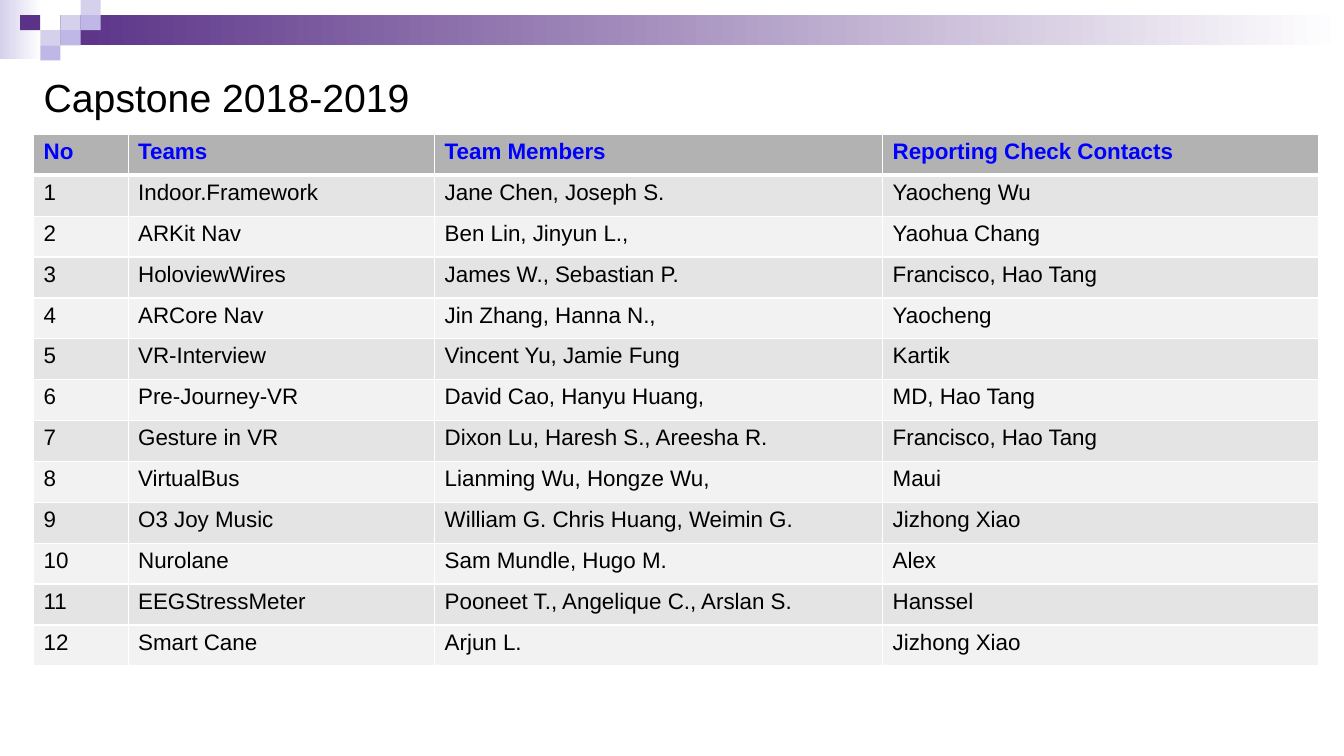
"""Build the Capstone 2018-2019 team table slide."""
from dataclasses import dataclass

from lxml.etree import SubElement
from pptx import Presentation
from pptx.dml.color import RGBColor as RGB
from pptx.enum.shapes import MSO_SHAPE as SHAPE
from pptx.enum.text import MSO_ANCHOR as ANCHOR, MSO_AUTO_SIZE as AUTOSIZE, PP_ALIGN as ALIGN
from pptx.oxml.ns import qn
from pptx.util import Pt


@dataclass(frozen=True)
class Theme:
    font: str = "Arial"
    title_size: int = 28
    table_size: int = 16
    text: str = "000000"
    white: str = "FFFFFF"
    purple: str = "5A3287"
    lilac: str = "BFB8E6"
    pale: str = "D5D0EC"
    header_text: str = "0000FF"
    header: str = "B2B2B2"
    odd_row: str = "E4E4E4"
    even_row: str = "F2F2F2"


T = Theme()


def add_block(s, left, top, width, height, color, fade=False):
    sp = s.shapes.add_shape(SHAPE.RECTANGLE, Pt(left), Pt(top), Pt(width), Pt(height))
    sp.shadow.inherit = False
    sp.line.fill.background()
    if fade:
        sp.fill.gradient()
        sp.fill.gradient_angle = 0
        for stop, stop_color in zip(sp.fill.gradient_stops, (color, T.white)):
            stop.color.rgb = RGB.from_string(stop_color)
    else:
        sp.fill.solid()
        sp.fill.fore_color.rgb = RGB.from_string(color)


def add_run(p, text, size, color, bold=False):
    r = p.add_run()
    r.text = text
    r.font.name = T.font
    r.font.size = Pt(size)
    r.font.bold = bold
    r.font.color.rgb = RGB.from_string(color)


prs = Presentation()
prs.slide_width, prs.slide_height = Pt(960), Pt(540)
s = prs.slides.add_slide(prs.slide_layouts[5])

add_block(s, 0, 0, 30, 42, T.pale, fade=True)
add_block(s, 43.2, 10.8, 916.8, 21.6, T.purple, fade=True)
TILE_W, TILE_H = 14.4, 10.8
tiles = [
    (3, 1, T.pale), (4, 0, T.pale), (4, 1, T.lilac), (2, 2, T.pale),
    (1, 1, T.purple), (3, 2, T.lilac), (2, 3, T.lilac),
]
for col, row, color in tiles:
    add_block(s, col * TILE_W, row * TILE_H, TILE_W, TILE_H, color)

title = s.shapes.title
title.left, title.top, title.width, title.height = Pt(24), Pt(36), Pt(912), Pt(66)
tf = title.text_frame
tf.auto_size = AUTOSIZE.NONE
tf.vertical_anchor = ANCHOR.MIDDLE
p = tf.paragraphs[0]
p.alignment = ALIGN.LEFT
add_run(p, "Capstone 2018-2019", T.title_size, T.text)

header = ("No", "Teams", "Team Members", "Reporting Check Contacts")
teams = [
    ("Indoor.Framework", "Jane Chen, Joseph S.", "Yaocheng Wu"),
    ("ARKit Nav", "Ben Lin, Jinyun L.,", "Yaohua Chang"),
    ("HoloviewWires", "James W., Sebastian P.", "Francisco, Hao Tang"),
    ("ARCore Nav", "Jin Zhang, Hanna N.,", "Yaocheng"),
    ("VR-Interview", "Vincent Yu, Jamie Fung", "Kartik"),
    ("Pre-Journey-VR", "David Cao, Hanyu Huang,", "MD, Hao Tang"),
    ("Gesture in VR", "Dixon Lu, Haresh S., Areesha R.", "Francisco, Hao Tang"),
    ("VirtualBus", "Lianming Wu, Hongze Wu,", "Maui"),
    ("O3 Joy Music", "William G. Chris Huang, Weimin G.", "Jizhong Xiao"),
    ("Nurolane", "Sam Mundle, Hugo M.", "Alex"),
    ("EEGStressMeter", "Pooneet T., Angelique C., Arslan S.", "Hanssel"),
    ("Smart Cane", "Arjun L.", "Jizhong Xiao"),
]
rows = [header] + [(str(no), *team) for no, team in enumerate(teams, 1)]
col_widths = (67.5, 219, 320, 311.5)
ROW_H = 29.2

table = s.shapes.add_table(
    len(rows), len(header), Pt(24), Pt(96), Pt(sum(col_widths)), Pt(ROW_H * len(rows))
).table
for column, width in zip(table.columns, col_widths):
    column.width = Pt(width)

for i, row in enumerate(rows):
    table.rows[i].height = Pt(ROW_H)
    is_header = i == 0
    fill = T.header if is_header else T.odd_row if i % 2 else T.even_row
    borders = {"a:lnL": 1, "a:lnR": 1, "a:lnT": 3 if i == 1 else 1, "a:lnB": 3 if is_header else 1}
    for j, text in enumerate(row):
        cell = table.cell(i, j)
        tc_pr = cell._tc.get_or_add_tcPr()
        for tag, weight in borders.items():
            ln = SubElement(tc_pr, qn(tag), w=str(Pt(weight)))
            SubElement(SubElement(ln, qn("a:solidFill")), qn("a:srgbClr"), val=T.white)
        cell.fill.solid()
        cell.fill.fore_color.rgb = RGB.from_string(fill)
        color = T.header_text if is_header else T.text
        add_run(cell.text_frame.paragraphs[0], text, T.table_size, color, is_header)

prs.save("out.pptx")
